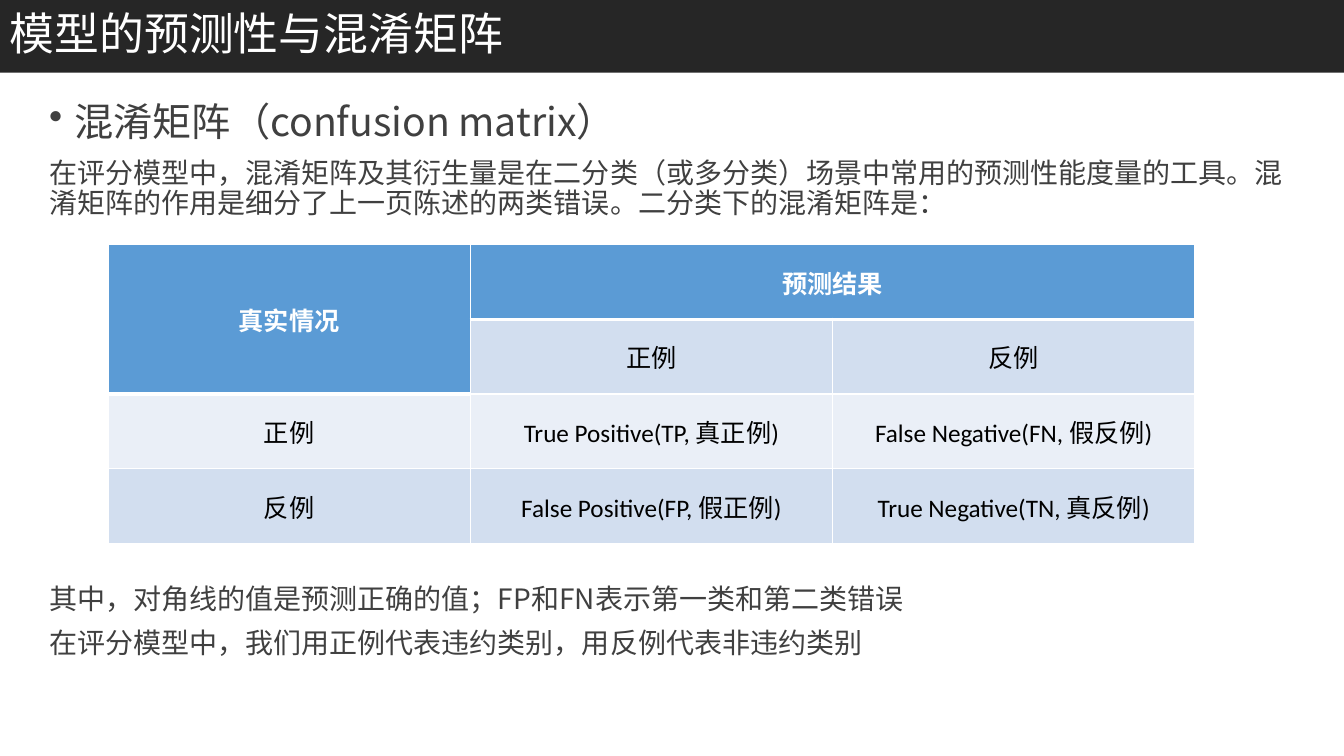
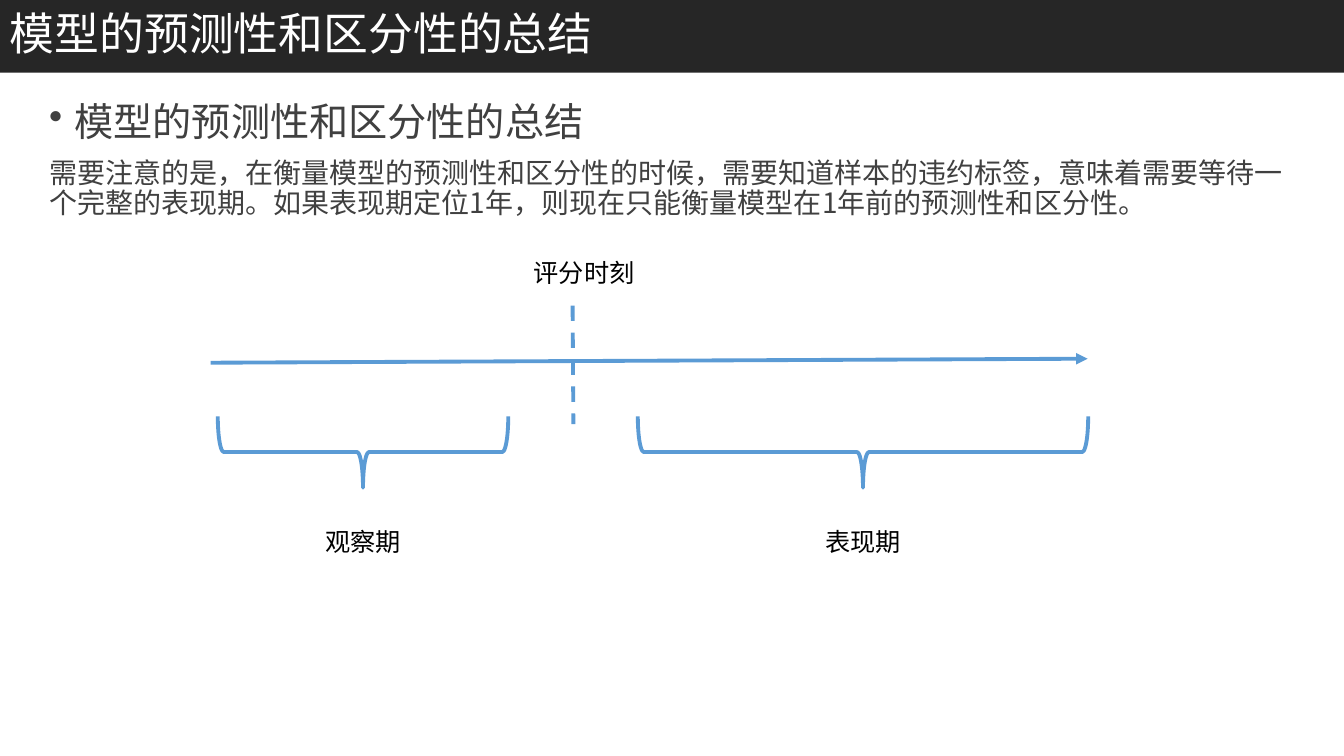
from dataclasses import dataclass

from pptx import Presentation
from pptx.dml.color import RGBColor
from pptx.enum.dml import MSO_LINE
from pptx.enum.shapes import MSO_CONNECTOR, MSO_SHAPE
from pptx.enum.text import MSO_ANCHOR, PP_ALIGN
from pptx.oxml.ns import qn
from pptx.oxml.xmlchemy import OxmlElement
from pptx.shapes.connector import Connector
from pptx.slide import Slide
from pptx.table import _Cell
from pptx.text.text import TextFrame, _Paragraph
from pptx.util import Cm, Length, Pt

WHITE = RGBColor(0xFF, 0xFF, 0xFF)
BLACK = RGBColor(0x00, 0x00, 0x00)
BAND = RGBColor(0x26, 0x26, 0x26)
BODY_GREY = RGBColor(0x40, 0x40, 0x40)
BLUE = RGBColor(0x5B, 0x9B, 0xD5)
ROW_DARK = RGBColor(0xD2, 0xDE, 0xEF)
ROW_LIGHT = RGBColor(0xEA, 0xEF, 0xF7)

CJK_FONT = "Noto Sans CJK SC"
LATIN_FONT = "Calibri"

LEFT, CENTER = PP_ALIGN.LEFT, PP_ALIGN.CENTER
MIDDLE = MSO_ANCHOR.MIDDLE
DASH = MSO_LINE.DASH
STRAIGHT = MSO_CONNECTOR.STRAIGHT
RECTANGLE, LEFT_BRACE = MSO_SHAPE.RECTANGLE, MSO_SHAPE.LEFT_BRACE

SLIDE_WIDTH, SLIDE_HEIGHT = Cm(33.87), Cm(19.05)
BAND_HEIGHT = Cm(1.83)
BODY_LEFT, BODY_WIDTH = Cm(0.99), Cm(31.88)
BODY_TOP, CLOSING_TOP = Cm(2.46), Cm(14.63)
BULLET_INDENT = Cm(0.64)

TABLE_LEFT, TABLE_TOP = Cm(2.72), Cm(6.17)
COLUMN_WIDTH, ROW_HEIGHT = Cm(9.13), Cm(1.88)
MATRIX = (
    ("真实情况", "预测结果", ""),
    ("", "正例", "反例"),
    ("正例", "True Positive(TP, 真正例)", "False Negative(FN, 假反例)"),
    ("反例", "False Positive(FP, 假正例)", "True Negative(TN, 真反例)"),
)

LINE_WIDTH = Pt(2.75)
BRACE_TOP, BRACE_DEPTH = Cm(10.49), Cm(1.8)
LABEL_WIDTH, LABEL_HEIGHT = Cm(3.2), Cm(1.02)
PERIOD_LABEL_TOP, SCORING_LABEL_TOP = Cm(13.13), Cm(6.35)


@dataclass(frozen=True)
class TextStyle:
    size: float
    color: RGBColor
    font: str = CJK_FONT
    bold: bool = False
    align: PP_ALIGN = LEFT


@dataclass(frozen=True)
class Period:
    label: str
    center: Length
    span: Length


TITLE = TextStyle(32, WHITE)
HEADING = TextStyle(28, BODY_GREY)
BODY = TextStyle(20, BODY_GREY)
LABEL = TextStyle(18, BLACK, LATIN_FONT, align=CENTER)
TABLE_HEADER = TextStyle(18, WHITE, LATIN_FONT, bold=True, align=CENTER)

PERIODS = (
    Period("观察期", Cm(9.15), Cm(7.32)),
    Period("表现期", Cm(21.75), Cm(11.35)),
)


def write(paragraph: _Paragraph, text: str, style: TextStyle) -> None:
    paragraph.text = text
    paragraph.alignment = style.align
    for run in paragraph.runs:
        run.font.size = Pt(style.size)
        run.font.bold = style.bold
        run.font.color.rgb = style.color
        run.font.name = style.font
        east_asian = OxmlElement("a:ea")
        east_asian.set("typeface", CJK_FONT)
        run.font._element.find(qn("a:latin")).addnext(east_asian)


def add_bullet(paragraph: _Paragraph) -> None:
    properties = paragraph._p.get_or_add_pPr()
    properties.set("marL", str(BULLET_INDENT))
    properties.set("indent", str(-BULLET_INDENT))
    bullet = OxmlElement("a:buChar")
    bullet.set("char", "•")
    properties.append(bullet)


def add_text_frame(slide: Slide, left: Length, top: Length,
                   width: Length, height: Length) -> TextFrame:
    frame = slide.shapes.add_textbox(left, top, width, height).text_frame
    frame.word_wrap = True
    return frame


def add_body(slide: Slide, top: Length, height: Length,
             lines: list[tuple[str, TextStyle]]) -> None:
    """Stack paragraphs in the body column; headings get a bullet."""
    frame = add_text_frame(slide, BODY_LEFT, top, BODY_WIDTH, height)
    for index, (text, style) in enumerate(lines):
        paragraph = frame.add_paragraph() if index else frame.paragraphs[0]
        write(paragraph, text, style)
        paragraph.line_spacing = 0.9
        paragraph.space_before = Pt(10)
        if style is HEADING:
            add_bullet(paragraph)


def add_titled_slide(deck: Presentation, title: str, heading: str, intro: str) -> Slide:
    slide = deck.slides.add_slide(deck.slide_layouts[6])
    band = slide.shapes.add_shape(RECTANGLE, 0, 0, SLIDE_WIDTH, BAND_HEIGHT)
    band.shadow.inherit = False
    band.fill.solid()
    band.fill.fore_color.rgb = BAND
    band.line.fill.background()
    band.text_frame.vertical_anchor = MIDDLE
    title_line = band.text_frame.paragraphs[0]
    write(title_line, title, TITLE)
    title_line.line_spacing = 0.9
    add_body(slide, BODY_TOP, Cm(3.4), [(heading, HEADING), (intro, BODY)])
    return slide


def is_header(row: int, column: int) -> bool:
    return row == 0 or (row == 1 and column == 0)


def set_borders(cell: _Cell, top: float, bottom: float) -> None:
    """Draw white borders; widths are in points and the sides are 1 pt."""
    properties = cell._tc.get_or_add_tcPr()
    for side, width in (("L", 1), ("R", 1), ("T", top), ("B", bottom)):
        border = OxmlElement(f"a:ln{side}")
        border.set("w", str(Pt(width)))
        fill = OxmlElement("a:solidFill")
        color = OxmlElement("a:srgbClr")
        color.set("val", str(WHITE))
        fill.append(color)
        border.append(fill)
        properties.append(border)


def add_confusion_matrix(slide: Slide) -> None:
    rows, columns = len(MATRIX), len(MATRIX[0])
    table = slide.shapes.add_table(rows, columns, TABLE_LEFT, TABLE_TOP,
                                   COLUMN_WIDTH * columns, ROW_HEIGHT * rows).table
    table.horz_banding = False
    for column in table.columns:
        column.width = COLUMN_WIDTH
    for r, texts in enumerate(MATRIX):
        table.rows[r].height = ROW_HEIGHT
        for c, text in enumerate(texts):
            cell = table.cell(r, c)
            header = is_header(r, c)
            below_header = r > 0 and is_header(r - 1, c)
            set_borders(cell, top=3 if below_header else 1, bottom=3 if header else 1)
            cell.fill.solid()
            plain_fill = ROW_DARK if r % 2 else ROW_LIGHT
            cell.fill.fore_color.rgb = BLUE if header else plain_fill
            cell.vertical_anchor = MIDDLE
            write(cell.text_frame.paragraphs[0], text, TABLE_HEADER if header else LABEL)
    table.cell(0, 0).merge(table.cell(1, 0))
    table.cell(0, 1).merge(table.cell(0, 2))


def add_blue_line(slide: Slide, x1: Length, y1: Length, x2: Length, y2: Length) -> Connector:
    line = slide.shapes.add_connector(STRAIGHT, x1, y1, x2, y2)
    line.line.color.rgb = BLUE
    line.line.width = LINE_WIDTH
    line._element.spPr.append(OxmlElement("a:effectLst"))
    return line


def add_label(slide: Slide, text: str, center: Length, top: Length) -> None:
    frame = add_text_frame(slide, center - LABEL_WIDTH // 2, top, LABEL_WIDTH, LABEL_HEIGHT)
    write(frame.paragraphs[0], text, LABEL)


def add_period(slide: Slide, period: Period) -> None:
    """Draw a brace that opens upwards, with the period's name below it."""
    middle = BRACE_TOP + BRACE_DEPTH // 2
    brace = slide.shapes.add_shape(LEFT_BRACE, period.center - BRACE_DEPTH // 2,
                                   middle - period.span // 2, BRACE_DEPTH, period.span)
    brace.rotation = 270
    brace.shadow.inherit = False
    brace.fill.background()
    brace.line.color.rgb = BLUE
    brace.line.width = LINE_WIDTH
    add_label(slide, period.label, period.center, PERIOD_LABEL_TOP)


def add_timeline(slide: Slide) -> None:
    axis = add_blue_line(slide, Cm(5.31), Cm(9.14), Cm(27.41), Cm(9.04))
    arrowhead = OxmlElement("a:tailEnd")
    arrowhead.set("type", "triangle")
    axis._element.spPr.find(qn("a:ln")).append(arrowhead)
    scoring_mark = add_blue_line(slide, Cm(14.43), Cm(7.7), Cm(14.45), Cm(10.69))
    scoring_mark.line.dash_style = DASH
    add_label(slide, "评分时刻", Cm(14.72), SCORING_LABEL_TOP)
    for period in PERIODS:
        add_period(slide, period)


def main() -> None:
    deck = Presentation()
    deck.slide_width, deck.slide_height = SLIDE_WIDTH, SLIDE_HEIGHT

    matrix_slide = add_titled_slide(
        deck, "模型的预测性与混淆矩阵", "混淆矩阵（confusion matrix）",
        "在评分模型中，混淆矩阵及其衍生量是在二分类（或多分类）场景中常用的预测性能度量的工具。"
        "混淆矩阵的作用是细分了上一页陈述的两类错误。二分类下的混淆矩阵是：")
    add_confusion_matrix(matrix_slide)
    add_body(matrix_slide, CLOSING_TOP, Cm(2.3), [
        ("其中，对角线的值是预测正确的值；FP和FN表示第一类和第二类错误", BODY),
        ("在评分模型中，我们用正例代表违约类别，用反例代表非违约类别", BODY),
    ])

    summary = "模型的预测性和区分性的总结"
    summary_slide = add_titled_slide(
        deck, summary, summary,
        "需要注意的是，在衡量模型的预测性和区分性的时候，需要知道样本的违约标签，"
        "意味着需要等待一个完整的表现期。如果表现期定位1年，"
        "则现在只能衡量模型在1年前的预测性和区分性。")
    add_timeline(summary_slide)

    deck.save("out.pptx")


if __name__ == "__main__":
    main()
